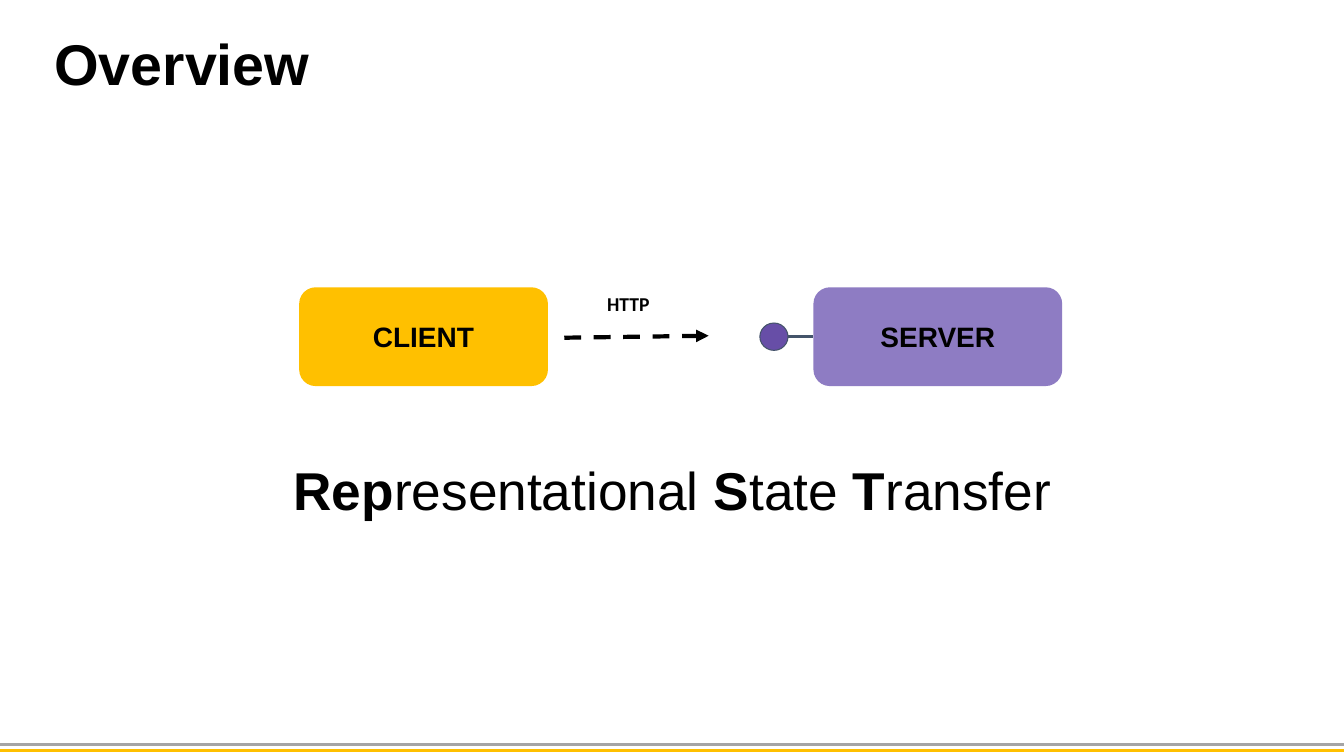
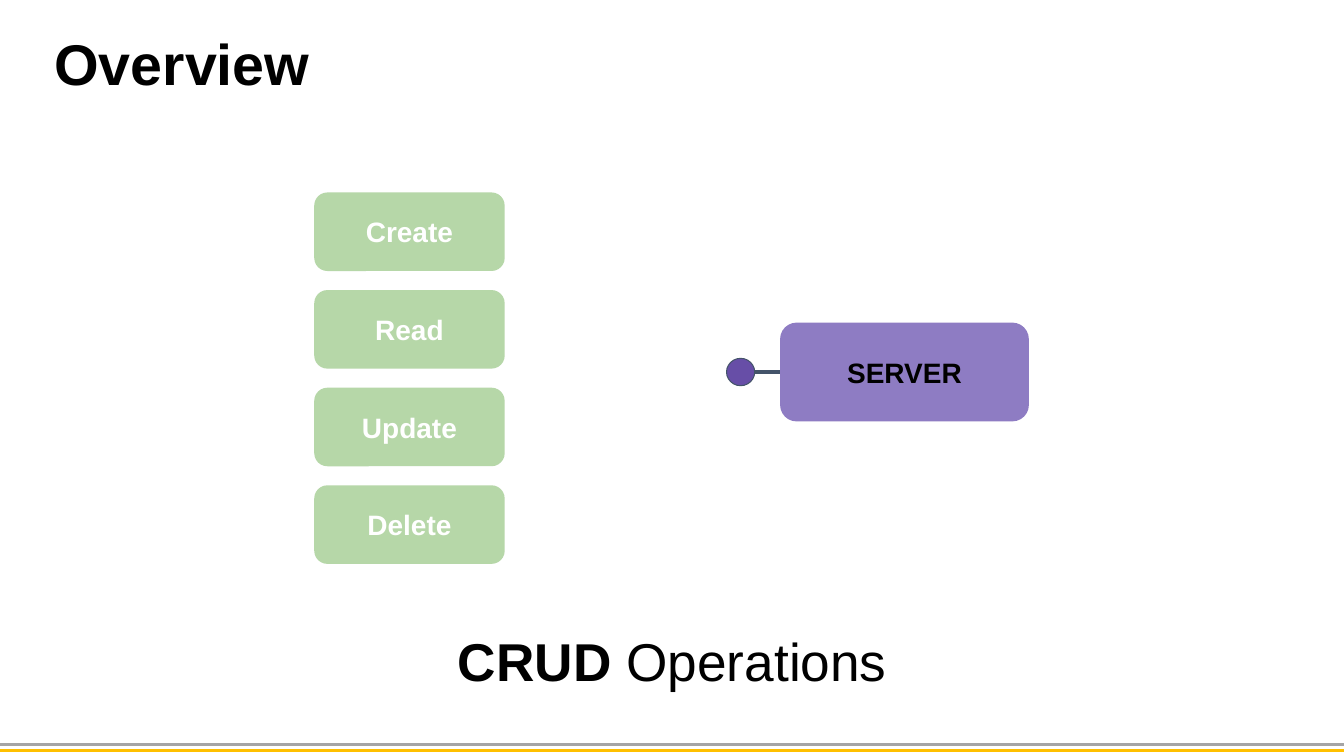
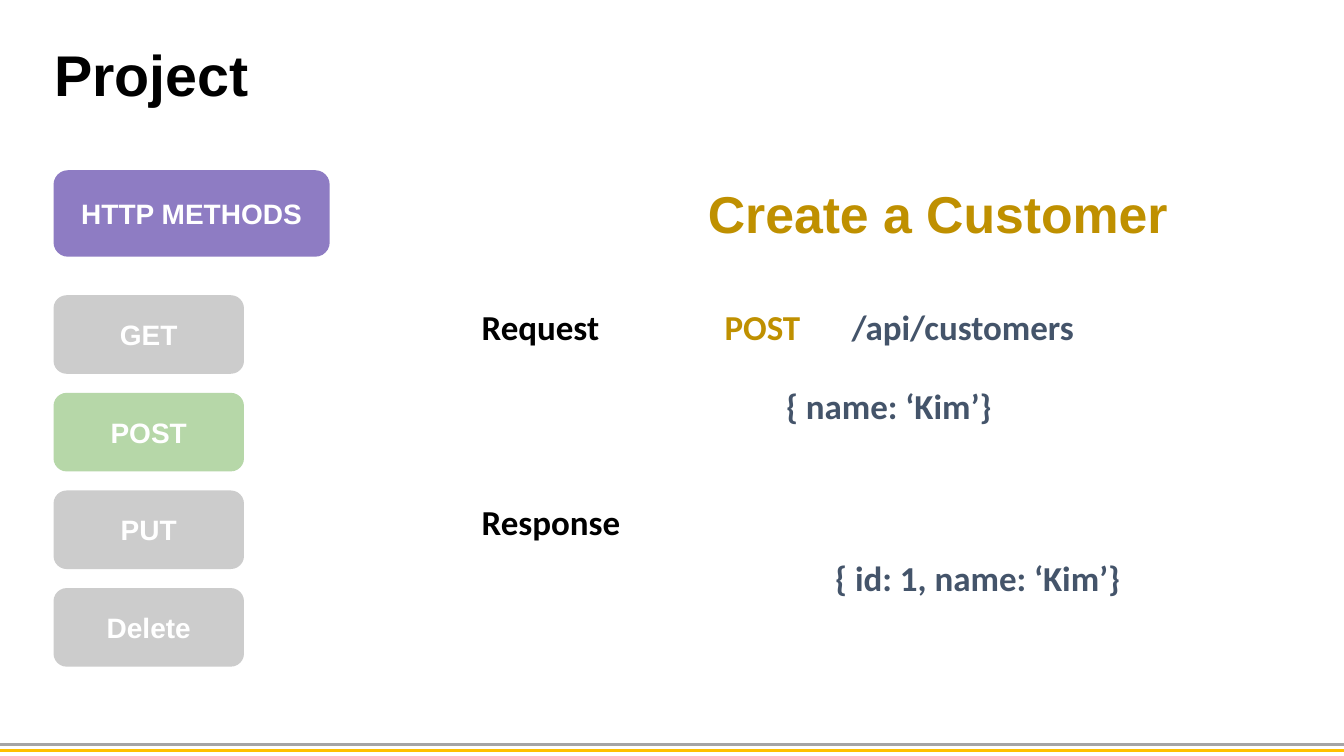
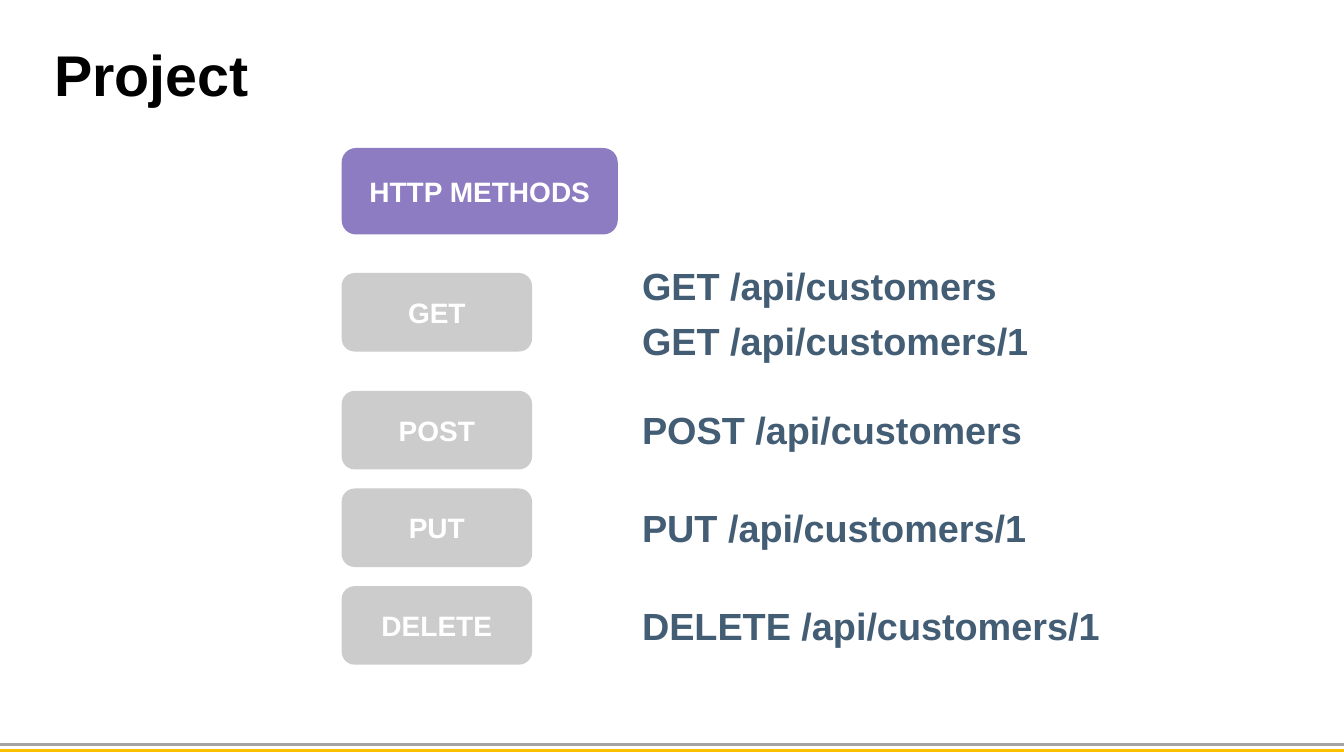
from lxml.etree import SubElement
from pptx import Presentation
from pptx.dml.color import RGBColor
from pptx.enum.dml import MSO_LINE
from pptx.enum.shapes import MSO_CONNECTOR, MSO_SHAPE
from pptx.enum.text import MSO_ANCHOR, PP_ALIGN
from pptx.oxml.ns import qn
from pptx.util import Cm, Pt

COLOURS = {
    "black": "000000", "white": "FFFFFF", "grey": "CCCCCC", "rule": "A5A5A5",
    "amber": "FFC000", "gold": "BF9000", "purple": "8E7CC3", "violet": "674EA7",
    "green": "B6D7A8", "slate": "44546A", "steel": "435D74",
}
SLIDE_WIDTH, SLIDE_HEIGHT = 33.87, 19.05
SERVER_SIZE = (6.27, 2.49)
CARD_SIZE = (4.8, 1.98)
CARD_STEP = 2.46
HEADING_TO_CARDS = 3.15


def colour(name):
    return RGBColor.from_string(COLOURS[name])


class Deck:
    def __init__(self):
        self.prs = Presentation()
        self.prs.slide_width, self.prs.slide_height = Cm(SLIDE_WIDTH), Cm(SLIDE_HEIGHT)
        self.blank = self.prs.slide_layouts[6]
        self.slide = None

    def start(self, title, top):
        first = self.slide is None
        self.slide = self.prs.slides.add_slide(self.blank)
        if first:
            self.footer()
        self.label([(title, True)], 1.12, top, 16.54, 1.85, 41)

    def footer(self):
        """Put the two footer rules on the layout, so that every slide shows them."""
        for number, (y, name) in enumerate([(18.77, "rule"), (18.92, "amber")]):
            rule = self.line((0, y), (SLIDE_WIDTH, y), name, 2.25).element
            rule.find(".//" + qn("p:cNvPr")).set("id", str(20 + number))
            self.blank.shapes.element.append(rule)

    def add_runs(self, frame, runs, size, name, align, font="Arial", pad=0.25):
        """Fill a text frame with one paragraph of (text, bold) runs."""
        frame.word_wrap = True
        frame.margin_left = frame.margin_right = Cm(0.25)
        frame.margin_top = frame.margin_bottom = Cm(pad)
        paragraph = frame.paragraphs[0]
        paragraph.alignment = align
        for text, bold in runs:
            run = paragraph.add_run()
            run.text = text
            run.font.name, run.font.size, run.font.bold = font, Pt(size), bold
            run.font.color.rgb = colour(name)

    def label(self, runs, left, top, width, height, size, name="black",
              align=PP_ALIGN.LEFT, font="Arial", pad=0.13):
        frame = self.slide.shapes.add_textbox(
            Cm(left), Cm(top), Cm(width), Cm(height)).text_frame
        self.add_runs(frame, runs, size, name, align, font, pad)

    def caption(self, runs, top):
        self.label(runs, 6.38, top, 21.13, 1.85, 38, align=PP_ALIGN.CENTER)

    def snippet(self, text, left, top, width, name="slate"):
        self.label([(text, True)], left, top, width, 1.57, 25, name,
                   font="Calibri", pad=0.25)

    def shape(self, kind, left, top, size, fill):
        shape = self.slide.shapes.add_shape(
            kind, Cm(left), Cm(top), Cm(size[0]), Cm(size[1]))
        shape.shadow.inherit = False
        shape.fill.solid()
        shape.fill.fore_color.rgb = colour(fill)
        shape.line.fill.background()
        return shape

    def box(self, text, left, top, size, fill, name="white"):
        box = self.shape(MSO_SHAPE.ROUNDED_RECTANGLE, left, top, size, fill)
        box.text_frame.vertical_anchor = MSO_ANCHOR.MIDDLE
        self.add_runs(box.text_frame, [(text, True)], 20, name, PP_ALIGN.CENTER)
        return box

    def cards(self, texts, left, top, fill, highlight=None):
        for row, text in enumerate(texts):
            self.box(text, left, top + row * CARD_STEP, CARD_SIZE,
                     "green" if text == highlight else fill)

    def line(self, start, end, name, width):
        line = self.slide.shapes.add_connector(
            MSO_CONNECTOR.STRAIGHT, *(Cm(value) for value in start + end))
        line.line.color.rgb = colour(name)
        line.line.width = Pt(width)
        SubElement(line.element.spPr, qn("a:effectLst"))
        return line

    def dashed_arrow(self, start, end):
        arrow = self.line(start, end, "black", 3)
        arrow.line.dash_style = MSO_LINE.DASH
        SubElement(arrow.element.spPr.find(qn("a:ln")), qn("a:tailEnd"), type="triangle")

    def server(self, left, top):
        """Draw the server with its endpoint, a dot on a short stem."""
        stem, dot_width, dot_height = 0.64, 0.71, 0.69
        middle = top + SERVER_SIZE[1] / 2
        server = self.box("SERVER", left, top, SERVER_SIZE, "purple", "black")
        dot = self.shape(MSO_SHAPE.OVAL, left - stem - dot_width,
                         middle - dot_height / 2, (dot_width, dot_height), "violet")
        dot.line.color.rgb = colour("slate")
        dot.line.width = Pt(0.75)
        self.line((left - stem, middle), (left, middle), "slate", 2.25).end_connect(server, 1)

    def methods_heading(self, left, top):
        self.box("HTTP METHODS", left, top, (6.96, 2.18), "purple")


def rest_slide(deck):
    deck.start("Overview", 0.58)
    deck.box("CLIENT", 7.54, 7.24, SERVER_SIZE, "amber", "black")
    deck.server(20.5, 7.24)
    deck.caption([("Rep", True), ("resentational ", False), ("S", True),
                  ("tate ", False), ("T", True), ("ransfer", False)], 11.4)
    deck.dashed_arrow((14.22, 8.51), (17.86, 8.46))
    deck.label([("HTTP", True)], 14.68, 7.11, 2.31, 1.12, 14,
               align=PP_ALIGN.CENTER, font="Calibri", pad=0.25)


def crud_slide(deck):
    deck.start("Overview", 0.58)
    deck.server(19.66, 8.13)
    deck.cards(["Create", "Read", "Update", "Delete"], 7.92, 4.85, "green")
    deck.caption([("CRUD ", True), ("Operations", False)], 15.7)


def create_slide(deck):
    left, top = 1.35, 4.29
    request_top = top + HEADING_TO_CARDS
    deck.start("Project", 0.86)
    deck.methods_heading(left, top)
    deck.cards(["GET", "POST", "PUT", "Delete"], left, request_top, "grey", "POST")
    deck.label([("Create a Customer", True)], 16.79, 4.45, 13.69, 1.85, 37, "gold",
               PP_ALIGN.CENTER)
    deck.snippet("Request", 11.89, request_top, 3.58, "black")
    deck.snippet("POST", 18.01, request_top, 2.79, "gold")
    deck.snippet("/api/customers", 21.21, request_top, 7.37)
    deck.snippet("{ name: ‘Kim’}", 19.56, 9.43, 9.6)
    deck.snippet("Response", 11.89, 12.37, 4.09, "black")
    deck.snippet("{ id: 1, name: ‘Kim’}", 20.8, 13.77, 9.6)


def endpoints_slide(deck):
    left, top = 8.61, 3.73
    get_top, post_top = top + HEADING_TO_CARDS, 9.85
    deck.start("Project", 0.86)
    deck.methods_heading(left, top)
    deck.cards(["GET"], left, get_top, "grey")
    deck.cards(["POST", "PUT", "DELETE"], left, post_top, "grey")
    endpoints = [
        ("GET /api/customers", get_top - 0.4),
        ("GET /api/customers/1", get_top + 1),
        ("POST /api/customers", post_top + 0.28),
        ("PUT /api/customers/1", post_top + CARD_STEP + 0.28),
        ("DELETE /api/customers/1", post_top + 2 * CARD_STEP + 0.28),
    ]
    for endpoint, endpoint_top in endpoints:
        deck.label([(endpoint, True)], 15.93, endpoint_top, 12.52, 1.42, 27, "steel")


def main():
    deck = Deck()
    for build in (rest_slide, crud_slide, create_slide, endpoints_slide):
        build(deck)
    deck.prs.save("out.pptx")


if __name__ == "__main__":
    main()
